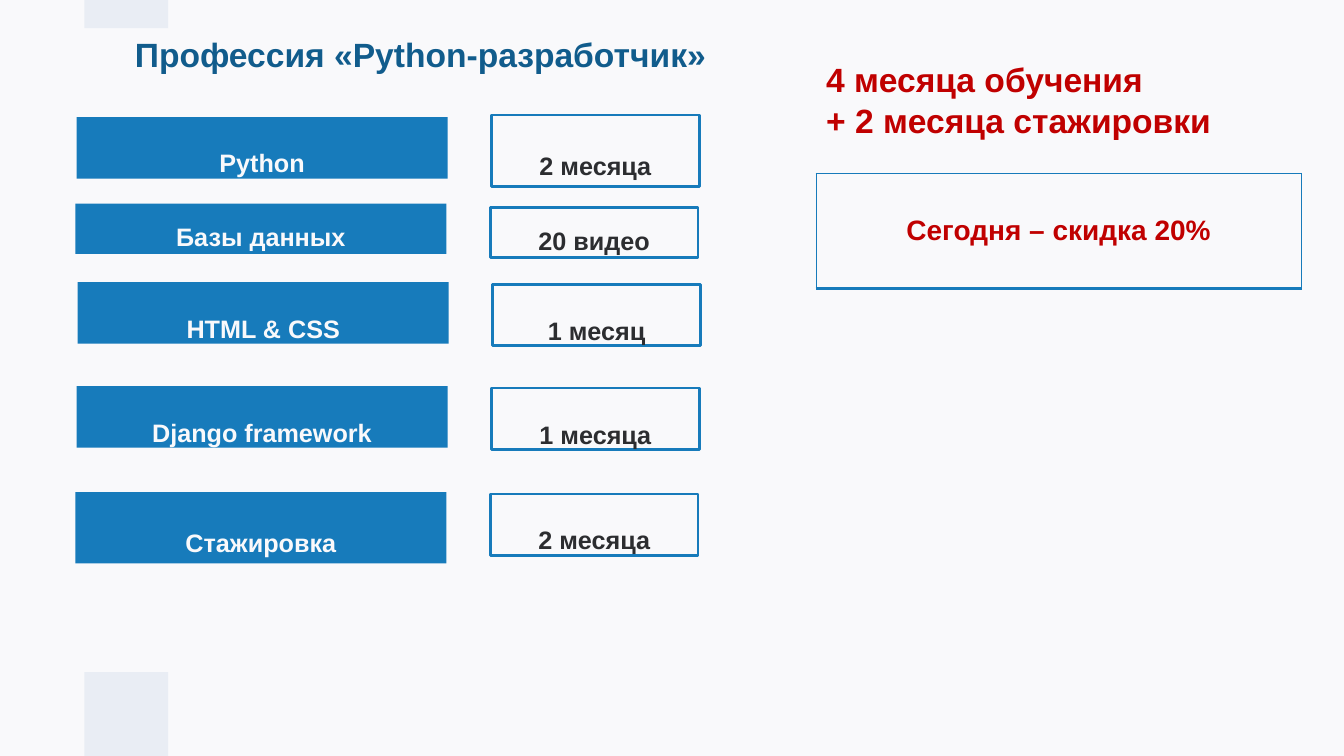
from dataclasses import dataclass

from lxml import etree
from pptx import Presentation
from pptx.dml.color import RGBColor
from pptx.enum.shapes import MSO_SHAPE
from pptx.enum.text import MSO_ANCHOR, PP_ALIGN
from pptx.oxml.ns import qn
from pptx.shapes.autoshape import Shape
from pptx.slide import Slide
from pptx.table import _Cell
from pptx.text.text import _Paragraph
from pptx.util import Cm, Pt

RECTANGLE = MSO_SHAPE.RECTANGLE
MIDDLE = MSO_ANCHOR.MIDDLE
CENTER = PP_ALIGN.CENTER

BACKGROUND = RGBColor(0xF9, 0xF9, 0xFB)
PALE = RGBColor(0xE9, 0xED, 0xF4)
BLUE = RGBColor(0x17, 0x7B, 0xBB)
NAVY = RGBColor(0x11, 0x5C, 0x8C)
RED = RGBColor(0xC0, 0x00, 0x00)
DARK = RGBColor(0x2C, 0x2D, 0x30)

COURSE_WIDTH = 9.35
DURATION_WIDTH = 5.23
DURATION_OFFSET = 10.46
BORDER_POINTS = {"a:lnL": 1, "a:lnR": 1, "a:lnT": 1, "a:lnB": 2}


@dataclass(frozen=True)
class Box:
    """Position and size in centimetres."""
    left: float
    top: float
    width: float
    height: float

    def lengths(self) -> tuple[Cm, Cm, Cm, Cm]:
        return Cm(self.left), Cm(self.top), Cm(self.width), Cm(self.height)


@dataclass(frozen=True)
class Stage:
    """One row of the programme: a course and its duration."""
    course: str
    duration: str
    left: float
    course_top: float
    course_height: float
    duration_top: float
    duration_height: float
    line_spacing: float = 2.0


STAGES = [
    Stage("Python", "2 месяца", 1.93, 2.95, 1.55, 2.9, 1.8),
    Stage("Базы данных", "20 видео", 1.9, 5.13, 1.27, 5.23, 1.27, 1.5),
    Stage("HTML & CSS", "1 месяц", 1.96, 7.11, 1.55, 7.16, 1.55),
    Stage("Django framework", "1 месяца", 1.93, 9.73, 1.55, 9.78, 1.55),
    Stage("Стажировка", "2 месяца", 1.9, 12.4, 1.8, 12.45, 1.55),
]
DECORATIONS = [Box(2.13, 0, 2.11, 0.71), Box(2.13, 16.94, 2.11, 2.11)]


def write(paragraph: _Paragraph, text: str, size: float, color: RGBColor) -> None:
    paragraph.add_run().text = text
    font = paragraph.runs[0].font
    for name, value in {"name": "Arial", "size": Pt(size), "bold": True}.items():
        setattr(font, name, value)
    font.color.rgb = color


def add_rectangle(slide: Slide, box: Box, fill: RGBColor) -> Shape:
    shape = slide.shapes.add_shape(RECTANGLE, *box.lengths())
    shape.shadow.inherit = False
    shape.fill.solid()
    shape.fill.fore_color.rgb = fill
    shape.line.fill.background()
    return shape


def add_label(slide: Slide, box: Box, text: str, fill: RGBColor,
              color: RGBColor, line_spacing: float) -> Shape:
    shape = add_rectangle(slide, box, fill)
    frame_format = {"margin_top": 0, "margin_bottom": 0,
                    "vertical_anchor": MIDDLE, "word_wrap": True}
    for name, value in frame_format.items():
        setattr(shape.text_frame, name, value)
    paragraph = shape.text_frame.paragraphs[0]
    paragraph.alignment = CENTER
    paragraph.line_spacing = line_spacing
    write(paragraph, text, 18, color)
    return shape


def add_stage(slide: Slide, stage: Stage) -> None:
    course_box = Box(stage.left, stage.course_top, COURSE_WIDTH, stage.course_height)
    add_label(slide, course_box, stage.course, BLUE, BACKGROUND, stage.line_spacing)
    duration_box = Box(stage.left + DURATION_OFFSET, stage.duration_top,
                       DURATION_WIDTH, stage.duration_height)
    duration = add_label(slide, duration_box, stage.duration, BACKGROUND, DARK,
                         stage.line_spacing)
    duration.line.color.rgb = BLUE
    duration.line.width = Pt(2)


def add_heading(slide: Slide, box: Box, lines: list[str], color: RGBColor) -> None:
    frame = slide.shapes.add_textbox(*box.lengths()).text_frame
    frame.word_wrap = True
    for index, line in enumerate(lines):
        paragraph = frame.add_paragraph() if index else frame.paragraphs[0]
        write(paragraph, line, 24, color)


def set_borders(cell: _Cell) -> None:
    properties = cell._tc.get_or_add_tcPr()
    for index, (tag, points) in enumerate(BORDER_POINTS.items()):
        border = etree.Element(qn(tag), w=str(Pt(points)))
        fill = etree.SubElement(border, qn("a:solidFill"))
        etree.SubElement(fill, qn("a:srgbClr"), val=str(BLUE))
        properties.insert(index, border)


def add_discount_table(slide: Slide, box: Box, text: str) -> None:
    table = slide.shapes.add_table(1, 1, *box.lengths()).table
    table.first_row = False
    table.horz_banding = False
    cell = table.cell(0, 0)
    cell.fill.solid()
    cell.fill.fore_color.rgb = BACKGROUND
    cell.vertical_anchor = MIDDLE
    set_borders(cell)
    paragraph = cell.text_frame.paragraphs[0]
    paragraph.alignment = CENTER
    write(paragraph, text, 20, RED)


def main() -> None:
    presentation = Presentation()
    presentation.slide_width = Cm(33.87)
    presentation.slide_height = Cm(19.05)
    slide = presentation.slides.add_slide(presentation.slide_layouts[6])
    slide.background.fill.solid()
    slide.background.fill.fore_color.rgb = BACKGROUND

    for decoration in DECORATIONS:
        add_rectangle(slide, decoration, PALE)
    add_heading(slide, Box(3.15, 0.74, 16.28, 1.27),
                ["Профессия «Python-разработчик»"], NAVY)
    add_heading(slide, Box(20.57, 1.37, 11, 2.31),
                ["4 месяца обучения", "+ 2 месяца стажировки"], RED)
    add_discount_table(slide, Box(20.57, 4.37, 12.22, 2.9), "Сегодня – скидка 20%")
    for stage in STAGES:
        add_stage(slide, stage)
    presentation.save("out.pptx")


if __name__ == "__main__":
    main()
